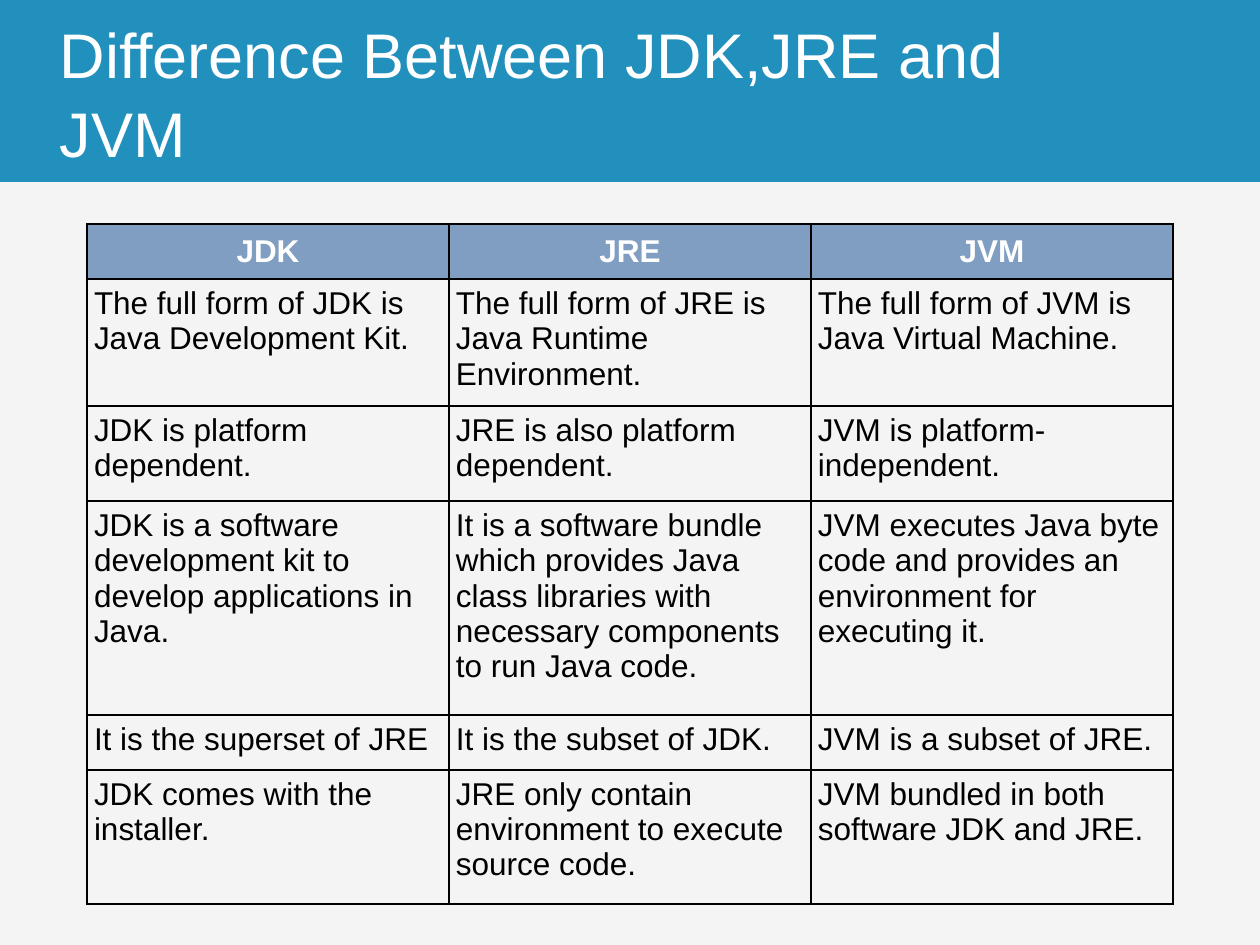
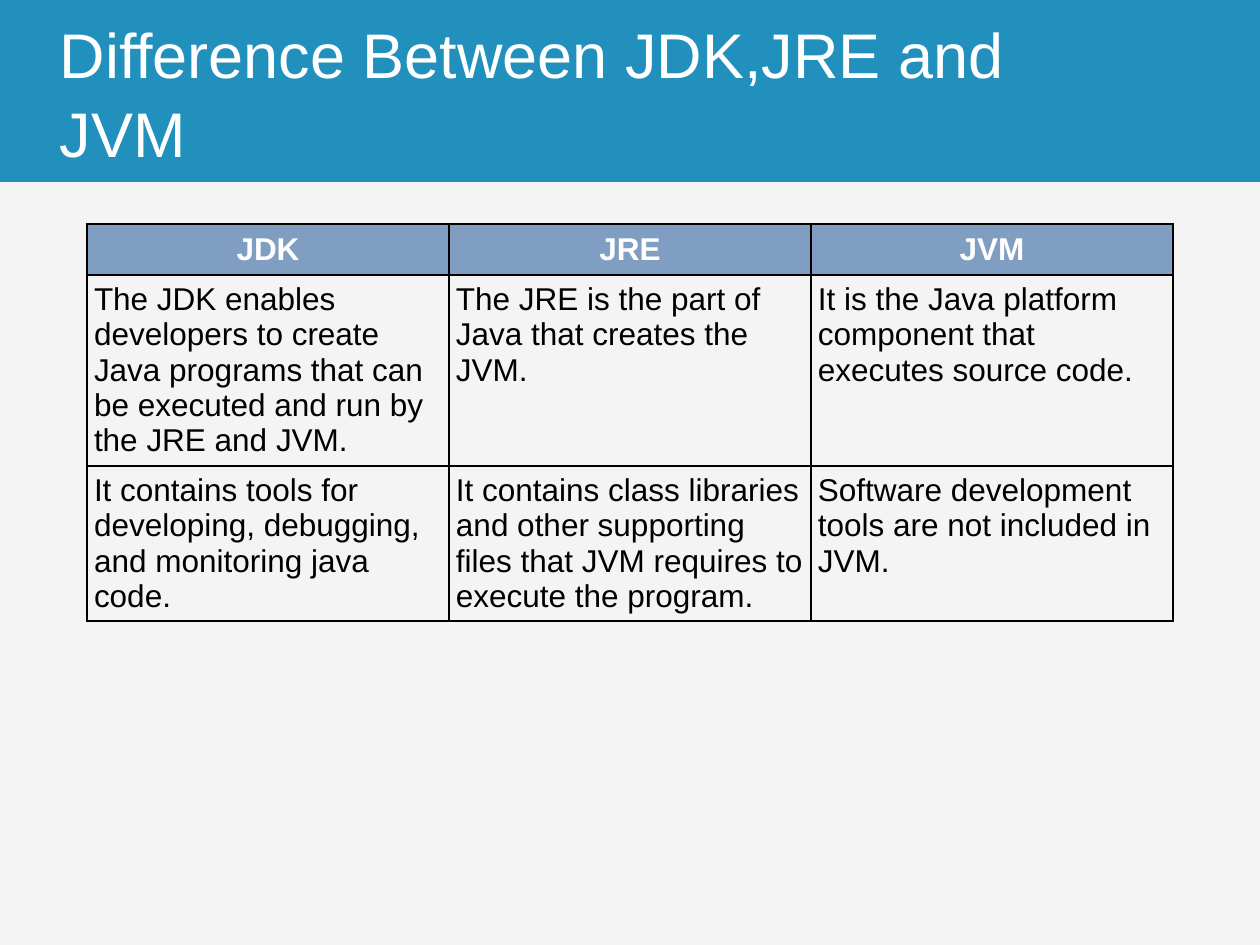
from dataclasses import dataclass

from lxml import etree
from pptx import Presentation, util as u
from pptx.dml.color import RGBColor
from pptx.enum import shapes, text
from pptx.oxml.ns import qn

EMU_PER_PX = 914400 / 126
TITLE_ONLY = 5


def px(n):
    return u.Emu(round(n * EMU_PER_PX))


@dataclass(frozen=True)
class Theme:
    font: str = "Arial"
    background: str = "F4F4F5"
    band: str = "2190BC"
    header: str = "809EC2"
    light: str = "FFFFFF"
    dark: str = "000000"
    title_size: int = 36
    table_size: int = 18
    border_width: int = 1


class Deck:
    WIDTH, HEIGHT, BAND_HEIGHT = 1260, 945, 182

    def __init__(self, theme):
        self.theme = theme
        self.prs = Presentation()
        self.prs.slide_width, self.prs.slide_height = px(self.WIDTH), px(self.HEIGHT)
        self.fill(self.prs.slide_master.background, theme.background)
        self.s = None

    def add_slide(self, title):
        self.s = self.prs.slides.add_slide(self.prs.slide_layouts[TITLE_ONLY])
        self.band()
        self.title(title)

    def fill(self, target, color):
        target.fill.solid()
        target.fill.fore_color.rgb = RGBColor.from_string(color)

    def style(self, p, size, color, bold=False):
        p.font.name, p.font.size, p.font.bold = self.theme.font, u.Pt(size), bold
        p.font.color.rgb = RGBColor.from_string(color)

    def band(self):
        """Draw the title band behind everything else on the slide."""
        sp = self.s.shapes.add_shape(shapes.MSO_SHAPE.RECTANGLE, 0, 0,
                                     px(self.WIDTH), px(self.BAND_HEIGHT))
        self.fill(sp, self.theme.band)
        sp.line.fill.background()
        sp.shadow.inherit = False
        sp.element.getparent().insert(2, sp.element)

    def title(self, words):
        sp = self.s.shapes.title
        sp.left, sp.top, sp.width, sp.height = px(47), 0, px(1086), px(self.BAND_HEIGHT)
        tf = sp.text_frame
        tf.text = words
        tf.word_wrap = True
        tf.auto_size = text.MSO_AUTO_SIZE.NONE
        tf.vertical_anchor = text.MSO_ANCHOR.MIDDLE
        p = tf.paragraphs[0]
        p.alignment = text.PP_ALIGN.LEFT
        p.line_spacing = 1.05
        self.style(p, self.theme.title_size, self.theme.light)

    def table(self, rows, heights, left=87, top=224, column_width=362):
        columns = len(rows[0])
        table = self.s.shapes.add_table(len(rows), columns, px(left), px(top),
                                        px(column_width * columns), px(sum(heights))).table
        table.first_row = table.horz_banding = False
        for column in table.columns:
            column.width = px(column_width)
        for i, (row, height) in enumerate(zip(rows, heights)):
            table.rows[i].height = px(height)
            for j, words in enumerate(row):
                self.cell(table.cell(i, j), words, is_header=i == 0)

    def cell(self, cell, words, is_header):
        cell.text = words
        cell.margin_left = cell.margin_right = cell.margin_top = cell.margin_bottom = px(7)
        self.borders(cell)
        p = cell.text_frame.paragraphs[0]
        if is_header:
            cell.vertical_anchor = text.MSO_ANCHOR.MIDDLE
            p.alignment = text.PP_ALIGN.CENTER
            self.fill(cell, self.theme.header)
        else:
            cell.fill.background()
        self.style(p, self.theme.table_size,
                   self.theme.light if is_header else self.theme.dark, is_header)

    def borders(self, cell):
        """Line all four sides; must run before the cell gets its fill."""
        tc_pr = cell._tc.get_or_add_tcPr()
        for side in ("a:lnL", "a:lnR", "a:lnT", "a:lnB"):
            ln = etree.SubElement(tc_pr, qn(side), w=str(u.Pt(self.theme.border_width)))
            solid = etree.SubElement(ln, qn("a:solidFill"))
            etree.SubElement(solid, qn("a:srgbClr"), val=self.theme.dark)


TITLE = "Difference Between JDK,JRE and JVM"
HEADER = ("JDK", "JRE", "JVM")
BASICS = [
    HEADER,
    ("The full form of JDK is Java Development Kit.",
     "The full form of JRE is Java Runtime Environment.",
     "The full form of JVM is Java Virtual Machine."),
    ("JDK is platform dependent.",
     "JRE is also platform dependent.",
     "JVM is platform-independent."),
    ("JDK is a software development kit to develop applications in Java.",
     "It is a software bundle which provides Java class libraries with "
     "necessary components to run Java code.",
     "JVM executes Java byte code and provides an environment for executing it."),
    ("It is the superset of JRE",
     "It is the subset of JDK.",
     "JVM is a subset of JRE."),
    ("JDK comes with the installer.",
     "JRE only contain environment to execute source code.",
     "JVM bundled in both software JDK and JRE."),
]
ROLES = [
    HEADER,
    ("The JDK enables developers to create Java programs that can be executed "
     "and run by the JRE and JVM.",
     "The JRE is the part of Java that creates the JVM.",
     "It is the Java platform component that executes source code."),
    ("It contains tools for developing, debugging, and monitoring java code.",
     "It contains class libraries and other supporting files that JVM requires "
     "to execute the program.",
     "Software development tools are not included in JVM."),
]


def main():
    deck = Deck(Theme())
    for rows, heights in ((BASICS, (55, 127, 95, 214, 55, 134)),
                          (ROLES, (51, 191, 155))):
        deck.add_slide(TITLE)
        deck.table(rows, heights)
    deck.prs.save("out.pptx")


if __name__ == "__main__":
    main()
